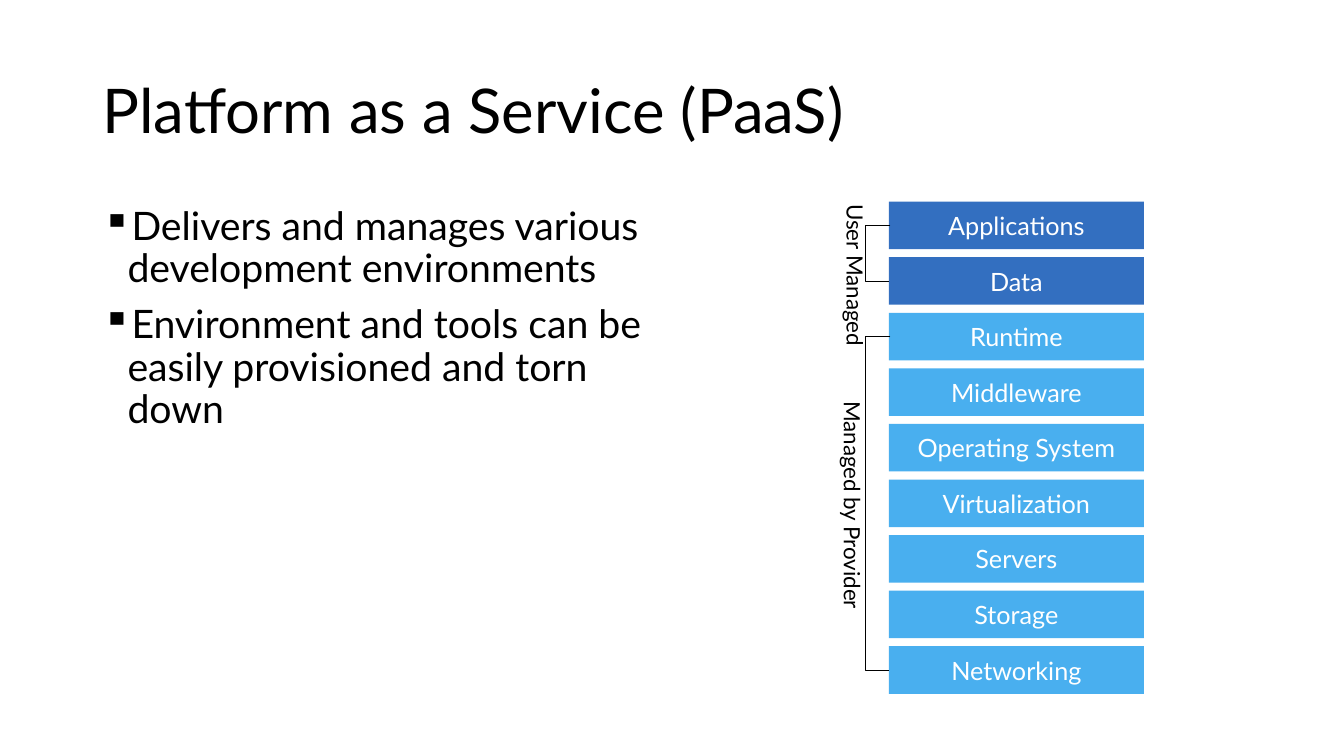
from lxml import etree
from pptx import Presentation
from pptx.dml.color import RGBColor
from pptx.enum.shapes import MSO_CONNECTOR, MSO_SHAPE
from pptx.enum.text import MSO_ANCHOR, PP_ALIGN
from pptx.oxml.ns import qn
from pptx.util import Pt

RECTANGLE = MSO_SHAPE.RECTANGLE
ELBOW = MSO_CONNECTOR.ELBOW
MIDDLE = MSO_ANCHOR.MIDDLE
TOP = MSO_ANCHOR.TOP
LEFT = PP_ALIGN.LEFT
CENTER = PP_ALIGN.CENTER

BLACK = "000000"
WHITE = "FFFFFF"
USER_BLUE = "336FC0"
PROVIDER_BLUE = "49AFEF"


def color(value):
    return RGBColor.from_string(value)


class SlideBuilder:
    font_name = "Lato"
    line_spacing = 0.9

    def __init__(self, slide):
        self.slide = slide

    def format_paragraph(self, paragraph, size, ink, align=LEFT, spacing=None):
        paragraph.alignment = align
        paragraph.line_spacing = spacing
        for run in paragraph.runs:
            run.font.name = self.font_name
            run.font.size = Pt(size)
            run.font.color.rgb = color(ink)

    def title(self, text, left, top, width, height):
        title = self.slide.shapes.title
        title.left, title.top = Pt(left), Pt(top)
        title.width, title.height = Pt(width), Pt(height)
        frame = title.text_frame
        frame.text = text
        frame.vertical_anchor = MIDDLE
        self.format_paragraph(frame.paragraphs[0], 44, BLACK, spacing=self.line_spacing)

    def bullets(self, points, left, top, width, height):
        box = self.slide.shapes.add_textbox(Pt(left), Pt(top), Pt(width), Pt(height))
        frame = box.text_frame
        frame.word_wrap = True
        frame.text = "\n".join(points)
        for index, paragraph in enumerate(frame.paragraphs):
            properties = paragraph._p.get_or_add_pPr()
            properties.set("marL", str(Pt(18)))
            properties.set("indent", str(-Pt(18)))
            etree.SubElement(properties, qn("a:buChar"), char="▪")
            self.format_paragraph(paragraph, 28, BLACK, spacing=self.line_spacing)
            if index:
                paragraph.space_before = Pt(10)

    def layer(self, text, fill, left, top, width, height):
        layer = self.slide.shapes.add_shape(
            RECTANGLE, Pt(left), Pt(top), Pt(width), Pt(height))
        layer.shadow.inherit = False
        layer.fill.solid()
        layer.fill.fore_color.rgb = color(fill)
        layer.line.fill.background()
        frame = layer.text_frame
        frame.text = text
        frame.vertical_anchor = MIDDLE
        self.format_paragraph(frame.paragraphs[0], 18, WHITE, CENTER)

    def vertical_label(self, text, left, top, width, height):
        label = self.slide.shapes.add_textbox(Pt(left), Pt(top), Pt(width), Pt(height))
        frame = label.text_frame
        frame.margin_left = frame.margin_right = 0
        frame.margin_top = frame.margin_bottom = 0
        frame.word_wrap = False
        frame.vertical_anchor = TOP
        frame._txBody.bodyPr.set("vert", "eaVert")
        frame.text = text
        self.format_paragraph(frame.paragraphs[0], 16, BLACK, spacing=self.line_spacing)

    def bracket(self, right, top, bottom, depth):
        bracket = self.slide.shapes.add_connector(
            ELBOW, Pt(right), Pt(top), Pt(right - 1), Pt(bottom))
        bracket.line.color.rgb = color(BLACK)
        bracket.line.width = Pt(0.5)
        properties = bracket._element.spPr
        adjustments = properties.find(qn("a:prstGeom")).get_or_add_avLst()
        etree.SubElement(adjustments, qn("a:gd"), name="adj1", fmla=f"val {depth * 100000}")
        etree.SubElement(properties, qn("a:effectLst"))


def main():
    presentation = Presentation()
    presentation.slide_width, presentation.slide_height = Pt(960), Pt(540)
    builder = SlideBuilder(presentation.slides.add_slide(presentation.slide_layouts[5]))

    builder.title("Platform as a Service (PaaS)", 66, 28.75, 828, 104.4)
    builder.bullets([
        "Delivers and manages various development environments",
        "Environment and tools can be easily provisioned and torn down",
    ], 66, 143.75, 408, 342.6)

    user_layers = ["Applications", "Data"]
    provider_layers = ["Runtime", "Middleware", "Operating System", "Virtualization",
                       "Servers", "Storage", "Networking"]
    stack_left, stack_top, layer_width, layer_height, pitch = 635, 144, 182, 34, 39.7

    row = 0
    for layers, fill in ((user_layers, USER_BLUE), (provider_layers, PROVIDER_BLUE)):
        first_middle = stack_top + row * pitch + layer_height / 2
        for layer in layers:
            builder.layer(layer, fill, stack_left, stack_top + row * pitch,
                          layer_width, layer_height)
            row += 1
        last_middle = first_middle + (len(layers) - 1) * pitch
        builder.bracket(stack_left + 1, first_middle, last_middle, 18)

    builder.vertical_label("User Managed", 600.5, 146, 18, 106)
    builder.vertical_label("Managed by Provider", 598.5, 286.5, 18, 153.5)

    presentation.save("out.pptx")


if __name__ == "__main__":
    main()
